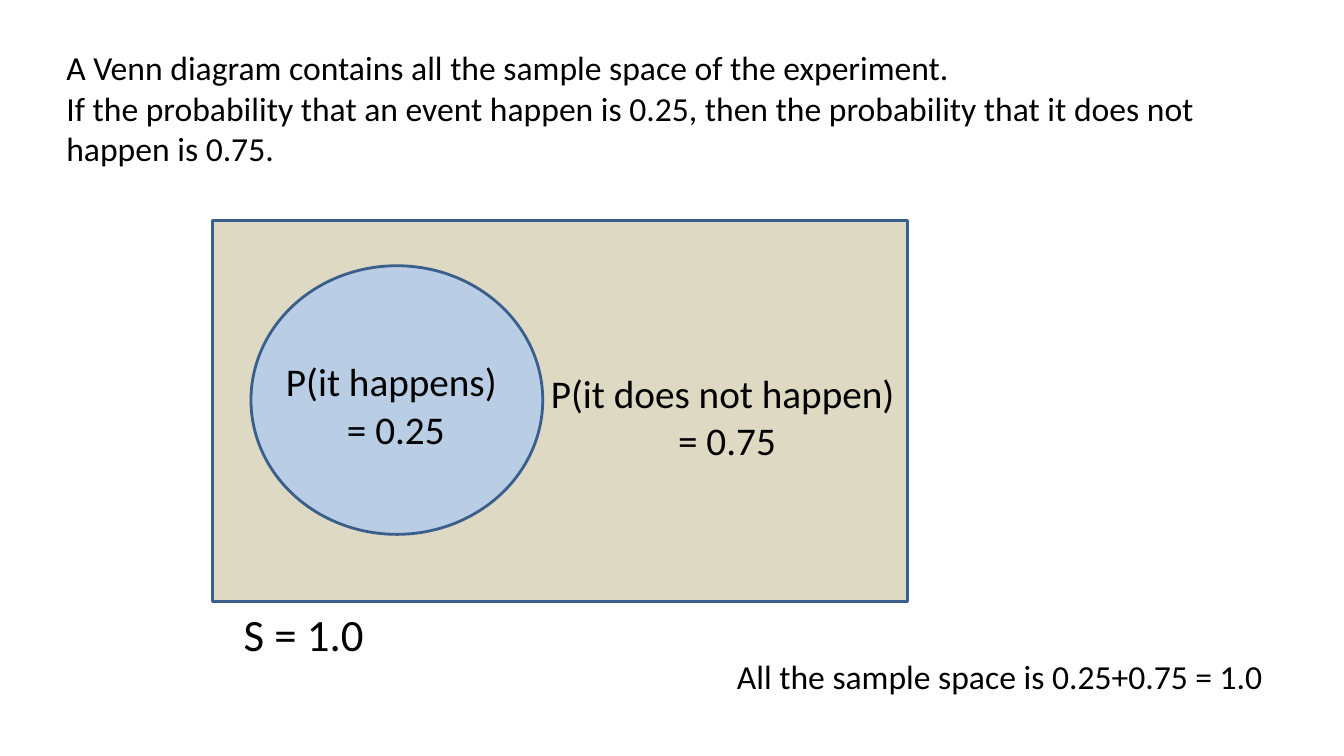
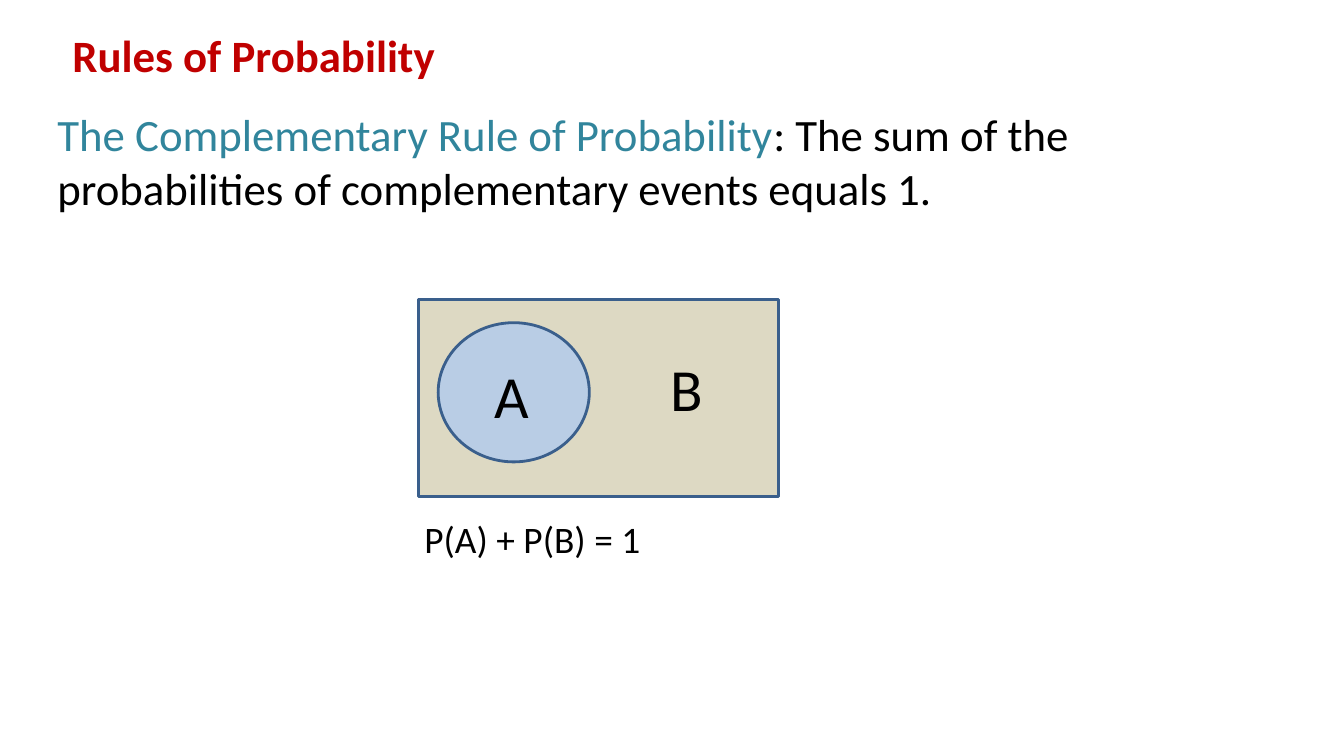
"""Build two slides on complementary probabilities, each with a Venn diagram."""
from dataclasses import dataclass
from typing import NamedTuple

from pptx import Presentation
from pptx.dml.color import RGBColor
from pptx.enum.shapes import MSO_SHAPE
from pptx.enum.text import MSO_AUTO_SIZE, PP_ALIGN
from pptx.shapes.shapetree import _BaseGroupShapes
from pptx.util import Inches, Pt

RECTANGLE, OVAL = MSO_SHAPE.RECTANGLE, MSO_SHAPE.OVAL
LEFT, CENTER = PP_ALIGN.LEFT, PP_ALIGN.CENTER
FIT_SHAPE = MSO_AUTO_SIZE.SHAPE_TO_FIT_TEXT
SLIDE_WIDTH, SLIDE_HEIGHT = Inches(13.33), Inches(7.5)
BLANK_LAYOUT = 6


@dataclass(frozen=True)
class Theme:
    font: str = "Calibri"
    ink: str = "000000"
    title: str = "C00000"
    term: str = "31859C"
    space: str = "DDD9C3"
    event: str = "B9CDE5"
    outline: str = "3A5F8C"
    outline_width: float = 2
    body_size: float = 24
    formula_size: float = 26.7
    label_size: float = 28
    heading_size: float = 32
    letter_size: float = 42.7


THEME = Theme()


class Area(NamedTuple):
    """Left, top, width and height in percent of the slide."""
    left: float
    top: float
    width: float
    height: float

    def inner(self, share: "Area") -> "Area":
        """Return the part of this area that the percentages describe."""
        return Area(self.left + self.width * share.left / 100,
                    self.top + self.height * share.top / 100,
                    self.width * share.width / 100,
                    self.height * share.height / 100)

    def lengths(self) -> tuple[int, int, int, int]:
        """Return the area in slide units."""
        return (round(self.left * SLIDE_WIDTH / 100), round(self.top * SLIDE_HEIGHT / 100),
                round(self.width * SLIDE_WIDTH / 100), round(self.height * SLIDE_HEIGHT / 100))


class Span(NamedTuple):
    text: str
    color: str = THEME.ink
    bold: bool = False


class Label(NamedTuple):
    area: Area
    size: float
    paragraphs: list[list[Span]]
    align: PP_ALIGN = LEFT
    wrap: bool = False


EVENT_SHARE = Area(5.5, 11.8, 42, 70.5)


def add_label(shapes: _BaseGroupShapes, label: Label) -> None:
    """Add a text box run by run."""
    frame = shapes.add_textbox(*label.area.lengths()).text_frame
    frame.word_wrap = label.wrap
    frame.auto_size = FIT_SHAPE
    for index, spans in enumerate(label.paragraphs):
        para = frame.add_paragraph() if index else frame.paragraphs[0]
        para.alignment = label.align
        for span in spans:
            run = para.add_run()
            run.text = span.text
            run.font.name = THEME.font
            run.font.size = Pt(label.size)
            run.font.bold = span.bold
            run.font.color.rgb = RGBColor.from_string(span.color)


def add_venn(shapes: _BaseGroupShapes, space: Area, labels: list[Label]) -> None:
    """Add the sample space, the event inside it and their labels."""
    outlines = ((RECTANGLE, space, THEME.space),
                (OVAL, space.inner(EVENT_SHARE), THEME.event))
    for kind, area, color in outlines:
        shape = shapes.add_shape(kind, *area.lengths())
        shape.shadow.inherit = False
        shape.fill.solid()
        shape.fill.fore_color.rgb = RGBColor.from_string(color)
        shape.line.color.rgb = RGBColor.from_string(THEME.outline)
        shape.line.width = Pt(THEME.outline_width)
    for label in labels:
        add_label(shapes, label)


def build_example(shapes: _BaseGroupShapes) -> None:
    """Draw the example with probabilities 0.25 and 0.75."""
    add_label(shapes, Label(Area(4.2, 5.6, 90.85, 17.47), THEME.body_size, [
        [Span("A Venn diagram contains all the sample space of the experiment.")],
        [Span("If the probability that an event happen is 0.25, then the probability "
              "that it does not happen is 0.75.")],
    ], wrap=True))
    add_venn(shapes, Area(15.83, 29.2, 51.69, 50.4), [
        Label(Area(20.41, 46.67, 18.08, 13.87), THEME.label_size,
              [[Span("P(it happens) ")], [Span("= 0.25")]], CENTER),
        Label(Area(40.06, 48.13, 28.06, 13.87), THEME.label_size,
              [[Span("P(it does not happen) ")], [Span("= 0.75")]], CENTER),
        Label(Area(17.4, 79.6, 10.58, 8.53), THEME.heading_size, [[Span("S = 1.0")]]),
    ])
    add_label(shapes, Label(Area(54.09, 86.13, 40.66, 6.67), THEME.body_size,
                            [[Span("All the sample space is 0.25+0.75 = 1.0")]]))


def build_rule(shapes: _BaseGroupShapes) -> None:
    """Draw the complementary rule with its grouped diagram."""
    add_label(shapes, Label(Area(4.65, 3.07, 86.72, 8.53), THEME.heading_size,
                            [[Span("Rules of Probability", THEME.title, True)]], wrap=True))
    add_venn(shapes.add_group_shape().shapes, Area(31.13, 39.6, 26.78, 26.13), [
        Label(Area(36.01, 46.8, 4.13, 10.93), THEME.letter_size, [[Span("A")]], CENTER),
        Label(Area(49.14, 45.87, 3.38, 10.93), THEME.letter_size, [[Span("B")]], CENTER),
        Label(Area(30.83, 67.6, 17.7, 7.33), THEME.formula_size, [[Span("P(A) + P(B) = 1")]]),
    ])
    add_label(shapes, Label(Area(3.53, 13.47, 87.85, 15.73), THEME.heading_size, [[
        Span("The Complementary Rule of Probability", THEME.term),
        Span(": The sum of the probabilities of complementary events equals 1."),
    ]], wrap=True))


def main() -> None:
    """Build and save the deck."""
    deck = Presentation()
    deck.slide_width, deck.slide_height = SLIDE_WIDTH, SLIDE_HEIGHT
    for build in (build_example, build_rule):
        page = deck.slides.add_slide(deck.slide_layouts[BLANK_LAYOUT])
        build(page.shapes)
    deck.save("out.pptx")


if __name__ == "__main__":
    main()
